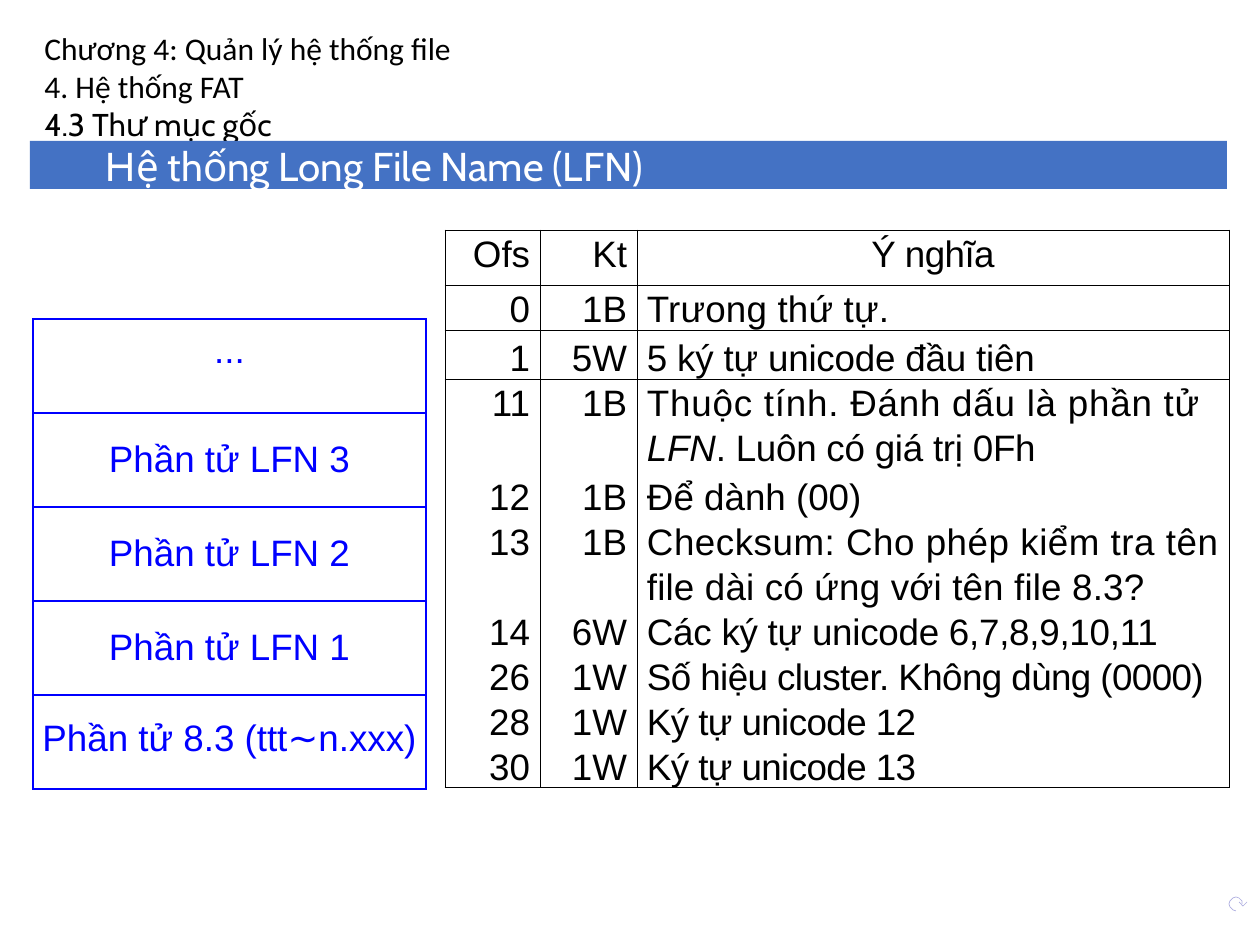
from lxml import etree
from pptx import Presentation
from pptx.dml.color import RGBColor
from pptx.enum.shapes import MSO_SHAPE
from pptx.enum.text import MSO_ANCHOR, PP_ALIGN
from pptx.oxml.ns import qn
from pptx.util import Emu, Pt

EMU_PER_PX = 914400 / 126
LEFT, CENTER, RIGHT = PP_ALIGN.LEFT, PP_ALIGN.CENTER, PP_ALIGN.RIGHT
TOP, MIDDLE, BOTTOM = MSO_ANCHOR.TOP, MSO_ANCHOR.MIDDLE, MSO_ANCHOR.BOTTOM
RECTANGLE = MSO_SHAPE.RECTANGLE
NO_STYLE = "{2D5ABB26-0587-4C30-8999-92F81FD0307C}"

BLACK, WHITE, BLUE, BAR_BLUE, ICON_BLUE = "000000", "FFFFFF", "0000FF", "4472C4", "ADADE0"
CELL_PAD = 10

HEADING = [
    ("Chương 4: Quản lý hệ thống file", "Calibri"),
    ("4. Hệ thống FAT", "Calibri"),
    ("4.3 Thư mục gốc", "Cabin"),
]

# Entry text and its top inset
ENTRIES = [
    ("...", 11),
    ("Phần tử LFN 3", 26),
    ("Phần tử LFN 2", 26),
    ("Phần tử LFN 1", 26),
    ("Phần tử 8.3 (ttt∼n.xxx)", 23),
]

# Offset, size, meaning, letter spacing of the meaning in points, row height
FIELDS = [
    ("Ofs", "Kt", "Ý nghĩa", -0.3, 55),
    ("0", "1B", "Trưong thứ tự.", 0.1, 45),
    ("1", "5W", "5 ký tự unicode đầu tiên", -0.1, 49),
    ("11", "1B", "Thuộc tính. Đánh dấu là phần tử", 0.45, 45),
    ("", "", "LFN. Luôn có giá trị 0Fh", -0.15, 45),
    ("12", "1B", "Để dành (00)", 0, 49),
    ("13", "1B", "Checksum: Cho phép kiểm tra tên", 0.3, 45),
    ("", "", "file dài có ứng với tên file 8.3?", 0.1, 45),
    ("14", "6W", "Các ký tự unicode 6,7,8,9,10,11", -0.15, 45),
    ("26", "1W", "Số hiệu cluster. Không dùng (0000)", -0.35, 45),
    ("28", "1W", "Ký tự unicode 12", -0.35, 45),
    ("30", "1W", "Ký tự unicode 13", -0.35, 45),
]


def px(length):
    return Emu(round(length * EMU_PER_PX))


def rgb(value):
    return RGBColor.from_string(value)


def add_text(paragraph, text, *, size=21, font="Arial", color=BLACK,
             italic=False, spacing=0, align=LEFT):
    paragraph.alignment = align
    run = paragraph.add_run()
    run.text = text
    run.font.size = Pt(size)
    run.font.name = font
    run.font.italic = italic
    run.font.color.rgb = rgb(color)
    if spacing:
        run.font._element.set("spc", str(round(spacing * 100)))


def set_borders(cell, sides, color, width):
    """Draw the given sides (letters out of LRTB) of a cell."""
    properties = cell._tc.get_or_add_tcPr()
    for position, side in enumerate(s for s in "LRTB" if s in sides):
        line = etree.Element(qn(f"a:ln{side}"), w=str(Pt(width)))
        fill = etree.SubElement(line, qn("a:solidFill"))
        etree.SubElement(fill, qn("a:srgbClr"), val=color)
        properties.insert(position, line)


def add_grid(slide, left, top, widths, heights):
    """Add a table without style, fills or cell margins."""
    table = slide.shapes.add_table(
        len(heights), len(widths), px(left), px(top),
        px(sum(widths)), px(sum(heights))).table
    table.first_row = table.horz_banding = False
    table._tbl.tblPr.find(qn("a:tableStyleId")).text = NO_STYLE
    for column, width in zip(table.columns, widths):
        column.width = px(width)
    for row, height in zip(table.rows, heights):
        row.height = px(height)
    for cell in table.iter_cells():
        cell.fill.background()
        cell.margin_left = cell.margin_right = 0
        cell.margin_top = cell.margin_bottom = 0
    return table


def add_entries(slide):
    table = add_grid(slide, 33, 319, [393], [94] * len(ENTRIES))
    for cell, (entry, inset) in zip(table.iter_cells(), ENTRIES):
        cell.margin_top = px(inset)
        set_borders(cell, "LRTB", BLUE, 1)
        paragraph = cell.text_frame.paragraphs[0]
        before, tilde, after = entry.partition("∼")
        add_text(paragraph, before, color=BLUE, align=CENTER)
        if tilde:
            add_text(paragraph, tilde, font="DejaVu Sans", italic=True,
                     color=BLUE, align=CENTER)
            add_text(paragraph, after, color=BLUE, align=CENTER)


def add_fields(slide):
    table = add_grid(slide, 445, 230, [95, 97, 592], [field[-1] for field in FIELDS])
    last = len(FIELDS) - 1
    for row, (offset, size, meaning, spacing, _) in enumerate(FIELDS):
        sides = "LR" + "T" * (row <= 2) + "B" * (row <= 1 or row == last)
        for column, text in enumerate((offset, size, meaning)):
            cell = table.cell(row, column)
            set_borders(cell, sides, BLACK, 0.5)
            cell.vertical_anchor = BOTTOM if row else TOP
            cell.margin_top = px(0 if row else 4)
            if not text:
                continue
            paragraph = cell.text_frame.paragraphs[0]
            if column < 2:
                cell.margin_right = px(CELL_PAD)
                add_text(paragraph, text, align=RIGHT)
                continue
            if row:
                cell.margin_left = px(CELL_PAD)
            align = LEFT if row else CENTER
            if text.startswith("LFN"):
                add_text(paragraph, "LFN", italic=True, spacing=spacing, align=align)
                text = text.removeprefix("LFN")
            add_text(paragraph, text, spacing=spacing, align=align)


def add_heading(slide):
    frame = slide.shapes.add_textbox(px(32), px(23), px(1205), px(127)).text_frame
    frame.word_wrap = True
    for index, (line, font) in enumerate(HEADING):
        paragraph = frame.add_paragraph() if index else frame.paragraphs[0]
        add_text(paragraph, line, size=18, font=font)


def add_title_bar(slide):
    bar = slide.shapes.add_shape(RECTANGLE, px(30), px(141), px(1197), px(48))
    bar.shadow.inherit = False
    bar.fill.solid()
    bar.fill.fore_color.rgb = rgb(BAR_BLUE)
    bar.line.fill.background()
    frame = bar.text_frame
    frame.word_wrap = True
    frame.vertical_anchor = MIDDLE
    frame.margin_left = px(76)
    add_text(frame.paragraphs[0], "Hệ thống Long File Name (LFN)",
             size=23, font="Cabin", color=WHITE)


def add_stroke(slide, points):
    builder = slide.shapes.build_freeform(*points[0], scale=EMU_PER_PX)
    builder.add_line_segments(points[1:], close=False)
    stroke = builder.convert_to_shape()
    stroke.shadow.inherit = False
    stroke.fill.background()
    stroke.line.color.rgb = rgb(ICON_BLUE)
    stroke.line.width = Pt(0.4)


def add_reload_icon(slide):
    add_stroke(slide, [(1236, 911), (1233, 910), (1231, 908), (1230, 907),
                       (1229, 904), (1230, 901), (1231, 900), (1233, 898),
                       (1236, 897), (1239, 898), (1241, 900), (1242, 901),
                       (1242, 904)])
    add_stroke(slide, [(1247, 902), (1243, 906), (1239, 902)])


def main():
    presentation = Presentation()
    presentation.slide_width, presentation.slide_height = px(1260), px(945)
    slide = presentation.slides.add_slide(presentation.slide_layouts[6])
    add_reload_icon(slide)
    add_entries(slide)
    add_fields(slide)
    add_heading(slide)
    add_title_bar(slide)
    presentation.save("out.pptx")


if __name__ == "__main__":
    main()
